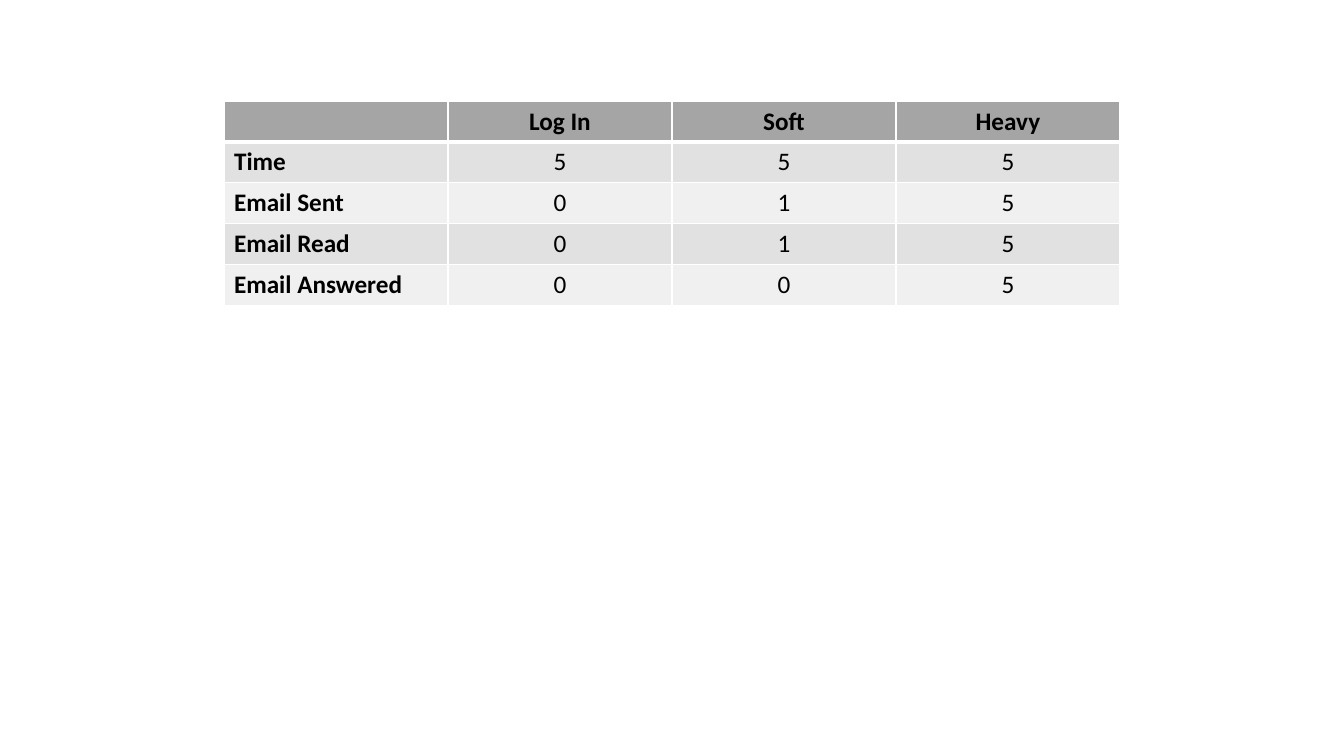
from lxml import etree
from pptx import Presentation
from pptx import util as u
from pptx.dml import color
from pptx.enum import text
from pptx.oxml import ns

SCALE = 914400 / 100.8
HUES = {"head": "A5A5A5", "odd": "E1E1E1", "even": "F0F0F0",
        "line": "FFFFFF", "ink": "000000"}
ROWS = [
    ("", "Log In", "Soft", "Heavy"),
    ("Time", "5", "5", "5"),
    ("Email Sent", "0", "1", "5"),
    ("Email Read", "0", "1", "5"),
    ("Email Answered", "0", "0", "5"),
]


def px(size):
    return u.Emu(round(size * SCALE))


def rgb(name):
    return color.RGBColor.from_string(HUES[name])


def edge(cell, spot, side, width):
    line = etree.Element(ns.qn(f"a:ln{side}"), w=str(u.Pt(width)))
    fill = etree.SubElement(line, ns.qn("a:solidFill"))
    etree.SubElement(fill, ns.qn("a:srgbClr"), val=HUES["line"])
    cell._tc.get_or_add_tcPr().insert(spot, line)


def frame(cell, row):
    widths = {"L": 1, "R": 1, "T": 3 if row == 1 else 1, "B": 3 if row == 0 else 1}
    for spot, (side, width) in enumerate(widths.items()):
        edge(cell, spot, side, width)


def write(cell, words, bold, center):
    para = cell.text_frame.paragraphs[0]
    para.alignment = text.PP_ALIGN.CENTER if center else text.PP_ALIGN.LEFT
    para.font.size = u.Pt(18)
    if not words:
        return
    run = para.add_run()
    run.text = words
    run.font.name = "Calibri"
    run.font.size = u.Pt(18)
    run.font.bold = bold
    run.font.color.rgb = rgb("ink")


def paint(cell, row):
    cell.fill.solid()
    cell.fill.fore_color.rgb = rgb("head" if row == 0 else "odd" if row % 2 else "even")


def grid(slide, left, top, wide, high):
    count, span = len(ROWS), len(ROWS[0])
    table = slide.shapes.add_table(
        count, span, px(left), px(top), px(wide * span), px(high * count)).table
    for col in table.columns:
        col.width = px(wide)
    for row, items in enumerate(ROWS):
        table.rows[row].height = px(high)
        for col, words in enumerate(items):
            cell = table.cell(row, col)
            paint(cell, row)
            frame(cell, row)
            write(cell, words, row == 0 or col == 0, col > 0)


def main():
    deck = Presentation()
    deck.slide_width = px(1344)
    deck.slide_height = px(756)
    slide = deck.slides.add_slide(deck.slide_layouts[6])
    grid(slide, 224, 101, 224, 40)
    deck.save("out.pptx")


if __name__ == "__main__":
    main()
